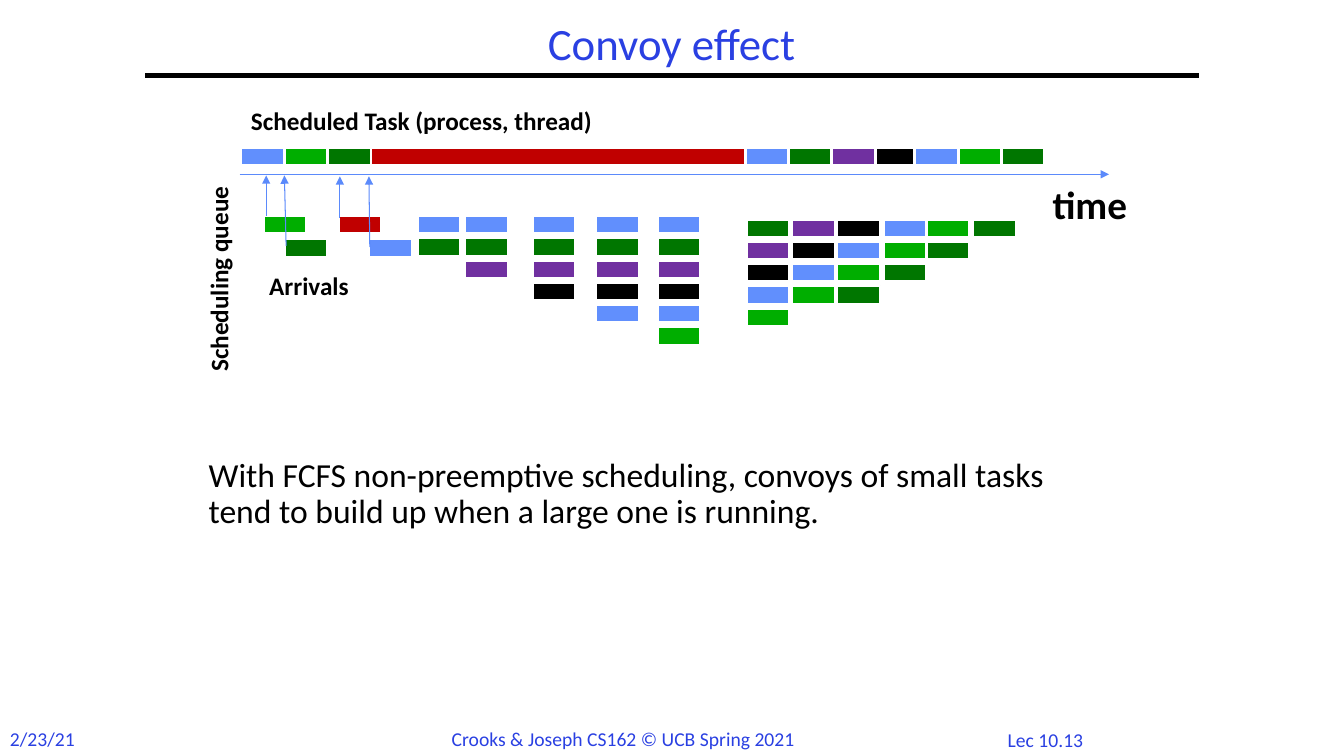
from lxml.etree import SubElement
from pptx import Presentation
from pptx.dml.color import RGBColor
from pptx.enum.shapes import MSO_CONNECTOR as CONN, MSO_SHAPE as SHAPE
from pptx.enum.text import MSO_ANCHOR as ANCHOR, MSO_AUTO_SIZE as FIT, PP_ALIGN as ALIGN
from pptx.oxml.ns import qn
from pptx.util import Inches, Pt

WIDTH, HEIGHT = Inches(13.33), Inches(7.5)
COLS, ROWS = 31, 34
BLACK, BRAND, ARROW = "000000", "2A40E2", "5B8AFB"
BLUE, LIME, GREEN, PURPLE, RED = "618FFD", "00AE00", "007600", "7030A0", "C00000"
CONVOY = [BLUE, GREEN, PURPLE, BLACK, BLUE, LIME, GREEN]
TASK_HEIGHT = 0.82


def color(value):
    return RGBColor.from_string(value)


def col(n):
    return round(WIDTH * n / COLS)


def row(n):
    return round(HEIGHT * n / ROWS)


def box(x, y, w, h):
    return col(x), row(y), col(w), row(h)


def set_attrs(obj, values):
    for name, value in values.items():
        setattr(obj, name, value)


def write(tf, text, size, hue=BLACK, bold=False, **para):
    p = tf.paragraphs[0]
    set_attrs(p, para)
    r = p.add_run()
    r.text = text
    set_attrs(r.font, {"name": "Calibri", "size": Pt(size), "bold": bold})
    r.font.color.rgb = color(hue)
    return p


def add_label(s, at, text, size, hue=BLACK, bold=True, rotation=0, **para):
    sp = s.shapes.add_textbox(*box(*at))
    sp.rotation = rotation
    set_attrs(sp.text_frame, {"word_wrap": False, "auto_size": FIT.SHAPE_TO_FIT_TEXT})
    write(sp.text_frame, text, size, hue, bold, **para)


def fill_placeholder(sp, at, text, size, hue, anchor, **para):
    set_attrs(sp, dict(zip(("left", "top", "width", "height"), box(*at))))
    set_attrs(sp.text_frame, {"word_wrap": True, "auto_size": FIT.NONE,
                              "vertical_anchor": anchor})
    return write(sp.text_frame, text, size, hue, line_spacing=0.9, **para)


def add_task(s, x, y, hue, width=1):
    sp = s.shapes.add_shape(SHAPE.RECTANGLE, *box(x, y, width, TASK_HEIGHT))
    sp.shadow.inherit = False
    sp.fill.solid()
    sp.fill.fore_color.rgb = color(hue)
    sp.line.color.rgb = color("FFFFFF")
    sp.line.width = Pt(2)


def add_line(s, x1, y1, x2, y2, hue=ARROW, width=0.75, arrow=True):
    sp = s.shapes.add_connector(CONN.STRAIGHT, col(x1), row(y1), col(x2), row(y2))
    sp.line.color.rgb = color(hue)
    sp.line.width = Pt(width)
    if arrow:
        SubElement(sp.line._get_or_add_ln(), qn("a:tailEnd"), type="triangle")
    SubElement(sp._element.spPr, qn("a:effectLst"))


def add_timeline(s):
    x = 5.56
    steps = [1, 1, 1, 8.63, 1, 1, 1, 0.91, 1, 1, 1]
    for hue, step in zip([BLUE, LIME, GREEN, RED] + CONVOY, steps):
        add_task(s, x, 6.62, hue, max(step, 1))
        x += step


def add_queue(s, x, y, hues):
    for i, hue in enumerate(hues):
        add_task(s, x, y + i, hue)


def add_queues(s):
    for n, x in enumerate([9.63, 10.72, 12.28, 13.74, 15.16], 2):
        add_queue(s, x, 9.7, CONVOY[:n])
    for n, x in enumerate([17.21, 18.26, 19.3, 20.37, 21.37, 22.44], 1):
        add_queue(s, x, 9.86, CONVOY[n:6 if n < 3 else 7])


def add_arrivals(s):
    arrivals = [
        (6.07, 9.7, LIME, (6.14, 9.7, 6.14, 7.89)),
        (6.56, 10.74, GREEN, (6.6, 11.06, 6.56, 7.89)),
        (7.81, 9.7, RED, (7.84, 9.79, 7.84, 7.93)),
        (8.51, 10.74, BLUE, (8.53, 11.11, 8.51, 7.93)),
    ]
    for x, y, hue, arrow in arrivals:
        add_task(s, x, y, hue)
        add_line(s, *arrow)


def add_footer(s):
    for at, text, align in [
        ((22.86, 32.5, 2.51, 1.5), "Lec 10.13", ALIGN.CENTER),
        ((0, 32.46, 1.98, 1.54), "2/23/21", ALIGN.LEFT),
        ((10.19, 32.46, 8.44, 1.54), "Crooks & Joseph CS162 © UCB Spring 2021", ALIGN.LEFT),
    ]:
        add_label(s, at, text, 14, BRAND, False, alignment=align)


def main():
    prs = Presentation()
    set_attrs(prs, {"slide_width": WIDTH, "slide_height": HEIGHT})
    s = prs.slides.add_slide(prs.slide_layouts[1])
    add_footer(s)
    add_line(s, 3.35, 3.4, 27.65, 3.4, BLACK, 3, False)
    title, body = s.placeholders
    fill_placeholder(title, (3.35, 0.77, 24.28, 2.63), "Convoy effect", 32, BRAND,
                     ANCHOR.MIDDLE, alignment=ALIGN.CENTER)
    p = fill_placeholder(body, (4.58, 20.4, 20.05, 8.93),
                         "With FCFS non-preemptive scheduling, convoys of small tasks "
                         "tend to build up when a large one is running.",
                         24, BLACK, ANCHOR.TOP, space_before=Pt(7))
    pPr = p._p.get_or_add_pPr()
    pPr.set("marL", "0")
    pPr.set("indent", "0")
    SubElement(pPr, qn("a:buNone"))
    add_line(s, 5.53, 7.84, 25.58, 7.84)
    add_label(s, (24.05, 7.89, 2.21, 2.58), "time", 28)
    add_timeline(s)
    add_label(s, (2.65, 11.61, 4.77, 1.81), "Scheduling queue", 18, rotation=270)
    add_queues(s)
    add_label(s, (5.56, 4.53, 8.4, 1.81), "Scheduled Task (process, thread)", 18)
    add_arrivals(s)
    add_label(s, (5.98, 11.92, 2.33, 1.81), "Arrivals", 18)
    prs.save("out.pptx")


if __name__ == "__main__":
    main()
